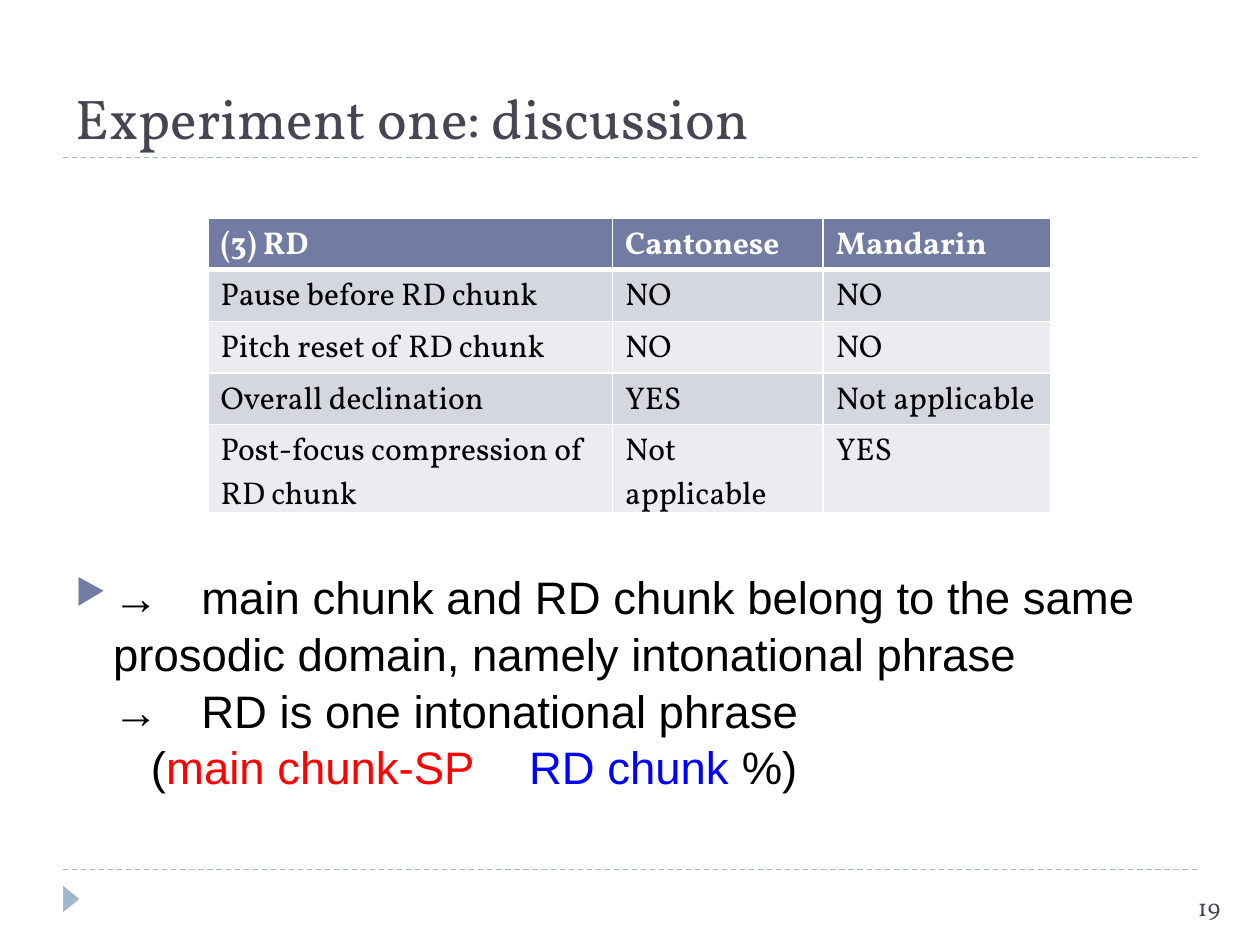
from dataclasses import dataclass

from lxml import etree
from pptx import Presentation
from pptx import util as u
from pptx.dml.color import RGBColor
from pptx.enum import dml, shapes, text
from pptx.oxml.ns import qn


@dataclass(frozen=True)
class Theme:
    serif: str = "Vollkorn"
    sans: str = "Arial"
    ink: str = "464653"
    accent: str = "727CA3"
    rule: str = "9FB8CD"
    band_dark: str = "D5D7E0"
    band_light: str = "EBECF0"
    white: str = "FFFFFF"
    black: str = "000000"
    red: str = "FF0000"
    blue: str = "0000FF"
    title_size: int = 32
    body_size: int = 26
    table_size: int = 18
    number_size: int = 14


THEME = Theme()
WIDTH, HEIGHT = 10, 7.5
MARGIN = 0.05 * WIDTH
CONTENT = WIDTH - 2 * MARGIN
TITLE_RULE = 1.25
FOOTER_RULE = 0.92 * HEIGHT

FINDINGS = [
    ("(3) RD", "Cantonese", "Mandarin"),
    ("Pause before RD chunk", "NO", "NO"),
    ("Pitch reset of RD chunk", "NO", "NO"),
    ("Overall declination", "YES", "Not applicable"),
    ("Post-focus compression of RD chunk", "Not applicable", "YES"),
]
CONCLUSIONS = [
    ("→\tmain chunk and RD chunk belong to the same prosodic domain, "
     "namely intonational phrase", THEME.black),
    ("\v", THEME.black),
    ("→\tRD is one intonational phrase", THEME.black),
    ("\v", THEME.black),
    ("\t (", THEME.black),
    ("main chunk-SP\t ", THEME.red),
    ("RD chunk ", THEME.blue),
    ("%)", THEME.black),
]


def inches(box):
    return [u.Inches(length) for length in box]


def rgb(colour):
    return RGBColor.from_string(colour)


def add_run(paragraph, words, size, font, colour, bold=False):
    run = paragraph.add_run()
    run.text = words
    run.font.size = u.Pt(size)
    run.font.name = font
    run.font.bold = bold
    run.font.color.rgb = rgb(colour)


def add_text_frame(slide, box):
    frame = slide.shapes.add_textbox(*inches(box)).text_frame
    frame.word_wrap = True
    return frame


def add_rule(slide, box):
    left, top, width = box
    rule = slide.shapes.add_connector(
        shapes.MSO_CONNECTOR.STRAIGHT, *inches((left, top, left + width, top)))
    rule.line.color.rgb = rgb(THEME.rule)
    rule.line.width = u.Pt(0.75)
    rule.line.dash_style = dml.MSO_LINE.DASH
    etree.SubElement(rule._element.spPr, qn("a:effectLst"))


def add_heading(slide, box):
    left, top, width, height = box
    heading = slide.shapes.title
    heading.left, heading.top, heading.width, heading.height = inches(box)
    frame = heading.text_frame
    frame.auto_size = text.MSO_AUTO_SIZE.NONE
    frame.vertical_anchor = text.MSO_ANCHOR.BOTTOM
    paragraph = frame.paragraphs[0]
    paragraph.alignment = text.PP_ALIGN.LEFT
    add_run(paragraph, "Experiment one: discussion",
            THEME.title_size, THEME.serif, THEME.ink)
    add_rule(slide, (left, top + height, width))


def set_borders(cell, widths):
    properties = cell._tc.get_or_add_tcPr()
    for position, (side, points) in enumerate(zip("LRTB", widths)):
        border = etree.Element(qn(f"a:ln{side}"), w=str(u.Pt(points)))
        fill = etree.SubElement(border, qn("a:solidFill"))
        etree.SubElement(fill, qn("a:srgbClr"), val=THEME.white)
        properties.insert(position, border)


def add_findings(slide, box):
    left, top, width, height = box
    table = slide.shapes.add_table(
        len(FINDINGS), len(FINDINGS[0]), *inches(box)).table
    for column, share in zip(table.columns, (0.48, 0.25, 0.27)):
        column.width = u.Inches(width * share)
    for row in table.rows:
        row.height = u.Inches(0.41)
    for row, findings in enumerate(FINDINGS):
        header = row == 0
        band = THEME.band_dark if row % 2 else THEME.band_light
        for column, finding in enumerate(findings):
            cell = table.cell(row, column)
            cell.fill.solid()
            cell.fill.fore_color.rgb = rgb(THEME.accent if header else band)
            set_borders(cell, (1, 1, 3 if row == 1 else 1, 3 if header else 1))
            add_run(cell.text_frame.paragraphs[0], finding, THEME.table_size,
                    THEME.serif, THEME.white if header else THEME.black, header)


def add_bullet(paragraph):
    properties = paragraph._p.get_or_add_pPr()
    properties.set("marL", str(u.Inches(0.3)))
    properties.set("indent", str(u.Inches(-0.3)))
    colour = etree.SubElement(properties, qn("a:buClr"))
    etree.SubElement(colour, qn("a:srgbClr"), val=THEME.accent)
    etree.SubElement(properties, qn("a:buSzPct"), val="76000")
    etree.SubElement(properties, qn("a:buChar"), char="▶")


def add_conclusions(slide, box):
    paragraph = add_text_frame(slide, box).paragraphs[0]
    add_bullet(paragraph)
    paragraph.line_spacing = 1.04
    for words, colour in CONCLUSIONS:
        if words == "\v":
            paragraph.add_line_break()
        else:
            add_run(paragraph, words, THEME.body_size, THEME.sans, colour)


def add_footer(slide, box):
    left, top, width, height = box
    add_rule(slide, (left, top, width))
    marker = slide.shapes.add_shape(
        shapes.MSO_SHAPE.ISOSCELES_TRIANGLE,
        *inches((left - 0.04, top + 0.17, 0.21, 0.13)))
    marker.rotation = 90
    marker.shadow.inherit = False
    marker.fill.solid()
    marker.fill.fore_color.rgb = rgb(THEME.rule)
    marker.line.fill.background()
    number = add_text_frame(
        slide, (left + width - 0.09, top + 0.13, 0.47, height - 0.2))
    add_run(number.paragraphs[0], "19",
            THEME.number_size, THEME.serif, THEME.ink)


def main():
    deck = Presentation()
    deck.slide_width, deck.slide_height = inches((WIDTH, HEIGHT))
    slide = deck.slides.add_slide(deck.slide_layouts[5])
    add_heading(slide, (MARGIN, 0.17, CONTENT, TITLE_RULE - 0.17))
    add_conclusions(slide, (MARGIN, 4.45, CONTENT, 2.28))
    add_findings(slide, (1.65, 1.73, 6.69, 2.05))
    add_footer(slide, (MARGIN, FOOTER_RULE, CONTENT, HEIGHT - FOOTER_RULE))
    deck.save("out.pptx")


if __name__ == "__main__":
    main()
